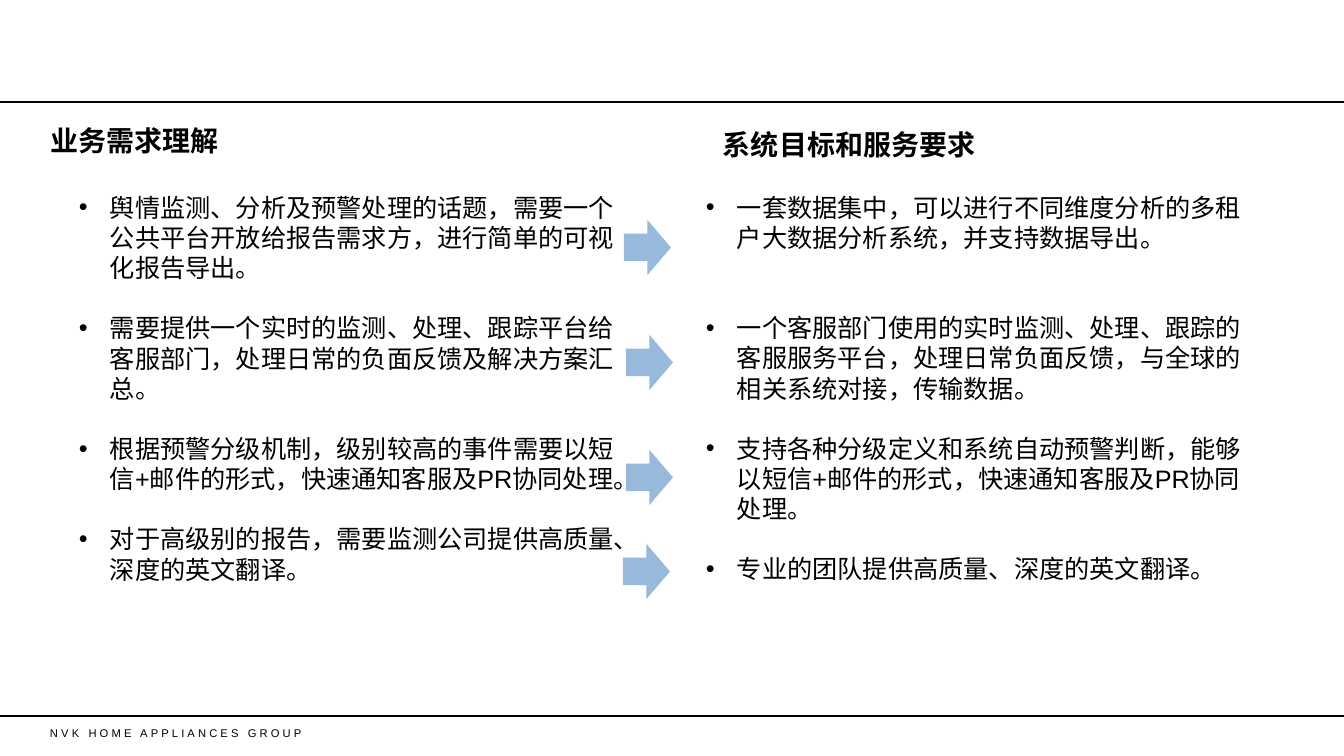
"""Build a slide that matches business needs with system goals."""
from dataclasses import dataclass

from lxml.etree import SubElement
from pptx import Presentation
from pptx.dml.color import RGBColor
from pptx.enum.shapes import MSO_CONNECTOR as Connector, MSO_SHAPE as Shape
from pptx.enum.text import MSO_ANCHOR as Anchor, MSO_AUTO_SIZE as AutoSize, PP_ALIGN as Align
from pptx.oxml.ns import qn
from pptx.util import Emu, Pt

BLACK = RGBColor(0x00, 0x00, 0x00)
ARROW_BLUE = RGBColor(0x96, 0xB9, 0xDC)
FONT = "Arial"
SLIDE_WIDTH, SLIDE_HEIGHT = 1344, 756
EMU_PER_PX = 12192000 / SLIDE_WIDTH
BULLET_INDENT = 31
BLANK_LINE = 21.4
LIST_TOP, LIST_WIDTH = 187, 556
ARROW_WIDTH, ARROW_HEIGHT = 47, 55
RULE_TOPS = (102, 716)


@dataclass(frozen=True)
class Item:
    text: str
    lines_before: int = 1


@dataclass(frozen=True)
class BulletList:
    left: int
    height: int
    items: tuple[Item, ...]


@dataclass(frozen=True)
class Arrow:
    left: int
    top: int


LISTS = (
    BulletList(69, 437, (
        Item("舆情监测、分析及预警处理的话题，需要一个公共平台开放给报告需求方，进行简单的可视化报告导出。", 0),
        Item("需要提供一个实时的监测、处理、跟踪平台给客服部门，处理日常的负面反馈及解决方案汇总。"),
        Item("根据预警分级机制，级别较高的事件需要以短信+邮件的形式，快速通知客服及PR协同处理。"),
        Item("对于高级别的报告，需要监测公司提供高质量、深度的英文翻译。"),
    )),
    BulletList(696, 407, (
        Item("一套数据集中，可以进行不同维度分析的多租户大数据分析系统，并支持数据导出。", 0),
        Item("一个客服部门使用的实时监测、处理、跟踪的客服服务平台，处理日常负面反馈，与全球的相关系统对接，传输数据。", 2),
        Item("支持各种分级定义和系统自动预警判断，能够以短信+邮件的形式，快速通知客服及PR协同处理。"),
        Item("专业的团队提供高质量、深度的英文翻译。"),
    )),
)
ARROWS = (Arrow(624, 220), Arrow(626, 335), Arrow(626, 450), Arrow(623, 544))


def px(length: int) -> Emu:
    return Emu(round(length * EMU_PER_PX))


def place(shape, left: int, top: int, width: int, height: int) -> None:
    shape.left, shape.top = px(left), px(top)
    shape.width, shape.height = px(width), px(height)


def write(para, text: str, *, size: float, bold: bool = False, tracking: float = 0) -> None:
    para.alignment = Align.LEFT
    span = para.add_run()
    span.text = text
    font = span.font
    font.name, font.size, font.bold = FONT, Pt(size), bold
    font.color.rgb = BLACK
    if tracking:
        span.font._element.set("spc", str(round(tracking * 100)))


def write_label(box, text: str, *, anchor: Anchor = Anchor.TOP, wrap: bool = True,
                size: float = 20, bold: bool = True, tracking: float = 0) -> None:
    frame = box.text_frame
    frame.margin_left = frame.margin_top = frame.margin_right = frame.margin_bottom = 0
    frame.auto_size = AutoSize.NONE
    frame.vertical_anchor, frame.word_wrap = anchor, wrap
    write(frame.paragraphs[0], text, size=size, bold=bold, tracking=tracking)


def add_label(slide, bounds: tuple[int, int, int, int], text: str, **options) -> None:
    box = slide.shapes.add_textbox(*map(px, bounds))
    write_label(box, text, **options)


def add_rule(slide, top: int) -> None:
    rule = slide.shapes.add_connector(Connector.STRAIGHT, 0, px(top), px(SLIDE_WIDTH), px(top))
    rule.line.color.rgb = BLACK
    rule.line.width = Pt(0.75)
    SubElement(rule._element.spPr, qn("a:effectLst"))


def add_bullets(slide, bullets: BulletList) -> None:
    box = slide.shapes.add_textbox(px(bullets.left), px(LIST_TOP), px(LIST_WIDTH), px(bullets.height))
    frame = box.text_frame
    frame.word_wrap = True
    for index, item in enumerate(bullets.items):
        para = frame.add_paragraph() if index else frame.paragraphs[0]
        properties = para._p.get_or_add_pPr()
        properties.set("marL", str(px(BULLET_INDENT)))
        properties.set("indent", str(-px(BULLET_INDENT)))
        SubElement(properties, qn("a:buFont"), typeface=FONT)
        SubElement(properties, qn("a:buChar"), char="•")
        if item.lines_before:
            para.space_before = Pt(item.lines_before * BLANK_LINE)
        write(para, item.text, size=18)


def add_arrow(slide, arrow: Arrow) -> None:
    shape = slide.shapes.add_shape(Shape.RIGHT_ARROW, px(arrow.left), px(arrow.top),
                                   px(ARROW_WIDTH), px(ARROW_HEIGHT))
    shape.shadow.inherit = False
    shape.fill.solid()
    shape.fill.fore_color.rgb = ARROW_BLUE
    shape.line.fill.background()


def main() -> None:
    deck = Presentation()
    deck.slide_width, deck.slide_height = px(SLIDE_WIDTH), px(SLIDE_HEIGHT)
    page = deck.slides.add_slide(deck.slide_layouts.get_by_name("Title Only"))
    for top in RULE_TOPS:
        add_rule(page, top)
    add_label(page, (50, 721, 507, 24), "NVK HOME APPLIANCES GROUP", anchor=Anchor.MIDDLE,
              wrap=False, size=8, bold=False, tracking=2.22)
    title = page.shapes.title
    place(title, 50, 123, 1242, 41)
    write_label(title, "业务需求理解")
    for bullets in LISTS:
        add_bullets(page, bullets)
    for arrow in ARROWS:
        add_arrow(page, arrow)
    add_label(page, (723, 128, 608, 43), "系统目标和服务要求")
    deck.save("out.pptx")


if __name__ == "__main__":
    main()
